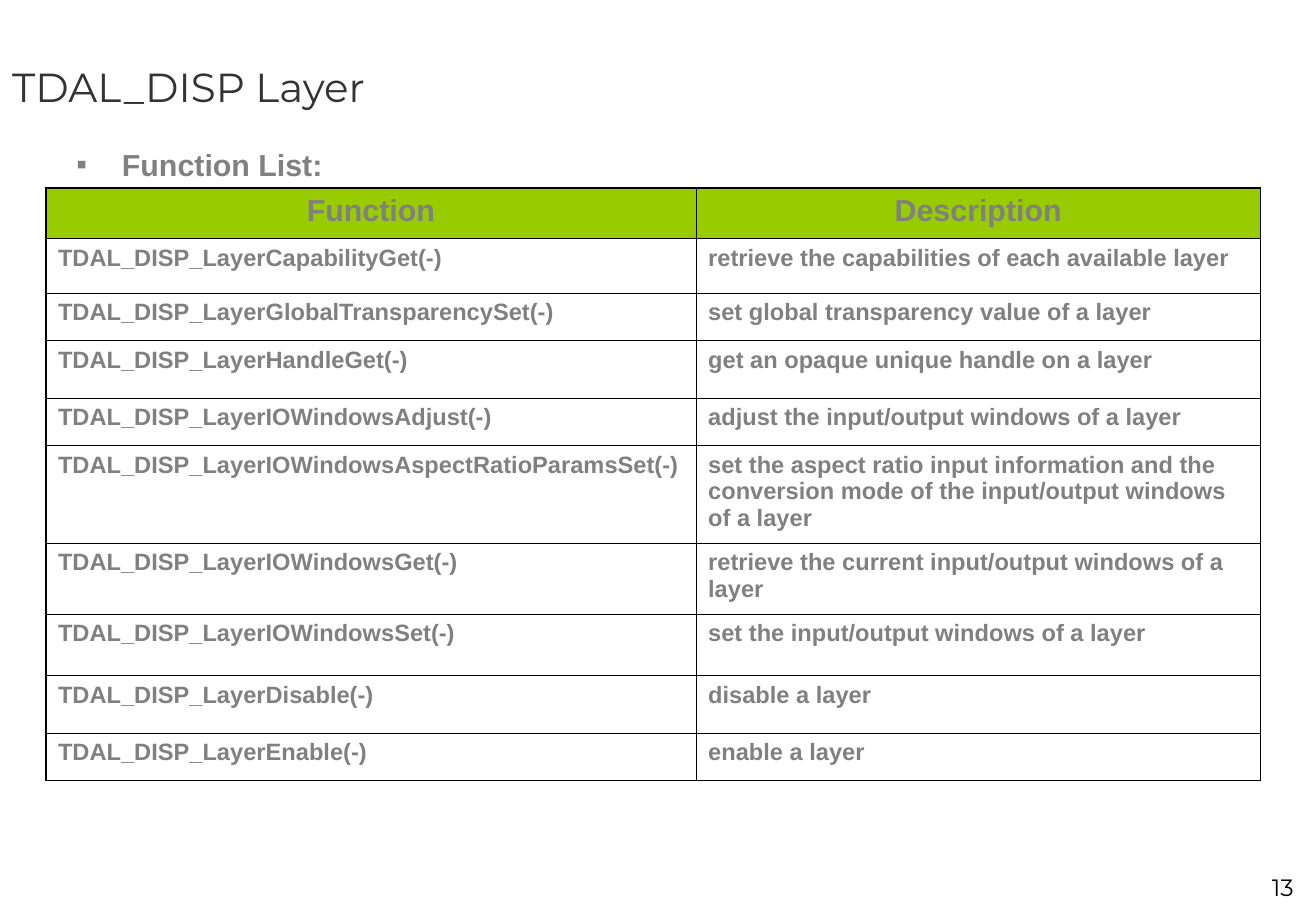
"""Build the TDAL_DISP Layer function list slide."""
from lxml.etree import SubElement
from pptx import Presentation
from pptx.dml.color import RGBColor as RGB
from pptx.enum.text import MSO_ANCHOR as ANCHOR, MSO_AUTO_SIZE as FIT, PP_ALIGN as ALIGN
from pptx.oxml.ns import qn
from pptx.util import Pt

TITLE = "TDAL_DISP Layer"
HEADING = "Function List:"
PAGE = "13"
HEADER = ("Function", "Description")
FUNCTIONS = [
    ("TDAL_DISP_LayerCapabilityGet(-)", "retrieve the capabilities of each available layer"),
    ("TDAL_DISP_LayerGlobalTransparencySet(-)", "set global transparency value of a layer"),
    ("TDAL_DISP_LayerHandleGet(-)", "get an opaque unique handle on a layer"),
    ("TDAL_DISP_LayerIOWindowsAdjust(-)", "adjust the input/output windows of a layer"),
    ("TDAL_DISP_LayerIOWindowsAspectRatioParamsSet(-)",
     "set the aspect ratio input information and the conversion mode "
     "of the input/output windows of a layer"),
    ("TDAL_DISP_LayerIOWindowsGet(-)", "retrieve the current input/output windows of a layer"),
    ("TDAL_DISP_LayerIOWindowsSet(-)", "set the input/output windows of a layer"),
    ("TDAL_DISP_LayerDisable(-)", "disable a layer"),
    ("TDAL_DISP_LayerEnable(-)", "enable a layer"),
]
COL_WIDTHS = (385.4, 334.6)
ROW_HEIGHTS = (30.0, 32.2, 28.2, 34.2, 28.2, 57.8, 42.0, 36.6, 34.0, 28.0)
COLORS = {"title": "333333", "text": "808080", "header": "99CC00", "line": "000000"}
OUTER, INNER = 1.08, 0.45


def add_run(p, text, size, color, font="Arial", bold=False):
    r = p.add_run()
    r.text = text
    r.font.size = Pt(size)
    r.font.name = font
    r.font.bold = bold
    r.font.color.rgb = RGB.from_string(COLORS[color])


def add_text(slide, left, top, width, height):
    tf = slide.shapes.add_textbox(Pt(left), Pt(top), Pt(width), Pt(height)).text_frame
    tf.word_wrap = True
    return tf.paragraphs[0]


def add_bullet(p, char, indent):
    pPr = p._p.get_or_add_pPr()
    pPr.set("marL", str(Pt(indent)))
    pPr.set("indent", str(-Pt(indent)))
    color = SubElement(pPr, qn("a:buClr"))
    SubElement(color, qn("a:srgbClr"), val=COLORS["text"])
    SubElement(pPr, qn("a:buFont"), typeface="Arial")
    SubElement(pPr, qn("a:buChar"), char=char)


def set_borders(cell, outer_sides):
    tcPr = cell._tc.get_or_add_tcPr()
    for side, outer in zip("LRTB", outer_sides):
        ln = SubElement(tcPr, qn(f"a:ln{side}"), w=str(Pt(OUTER if outer else INNER)))
        fill = SubElement(ln, qn("a:solidFill"))
        SubElement(fill, qn("a:srgbClr"), val=COLORS["line"])


def add_function_table(slide, left, top):
    rows = [HEADER, *FUNCTIONS]
    last_row, last_col = len(rows) - 1, len(HEADER) - 1
    table = slide.shapes.add_table(len(rows), len(HEADER), Pt(left), Pt(top),
                                   Pt(sum(COL_WIDTHS)), Pt(sum(ROW_HEIGHTS))).table
    table.first_row = table.horz_banding = False
    for col, width in zip(table.columns, COL_WIDTHS):
        col.width = Pt(width)
    for i, (row, height) in enumerate(zip(rows, ROW_HEIGHTS)):
        table.rows[i].height = Pt(height)
        for j, text in enumerate(row):
            cell = table.cell(i, j)
            set_borders(cell, (j == 0, j == last_col, i == 0, i == last_row))
            p = cell.text_frame.paragraphs[0]
            if i == 0:
                cell.fill.solid()
                cell.fill.fore_color.rgb = RGB.from_string(COLORS["header"])
                p.alignment = ALIGN.CENTER
            else:
                cell.fill.background()
            add_run(p, text, 14 if i else 18, "text", bold=True)


def main():
    prs = Presentation()
    prs.slide_width, prs.slide_height = Pt(780.12), Pt(540)
    slide = prs.slides.add_slide(prs.slide_layouts[5])

    title = slide.shapes.title
    title.left, title.top, title.width, title.height = Pt(0), Pt(0), Pt(780), Pt(102)
    tf = title.text_frame
    tf.auto_size = FIT.NONE
    tf.vertical_anchor = ANCHOR.MIDDLE
    p = tf.paragraphs[0]
    p.alignment = ALIGN.LEFT
    add_run(p, TITLE, 24, "title", "Montserrat")

    p = add_text(slide, 38.2, 83, 713.5, 356.5)
    add_bullet(p, "▪", 27)
    add_run(p, HEADING, 18, "text", bold=True)

    add_function_table(slide, 27.2, 111.5)

    p = add_text(slide, 690.5, 514, 83.5, 24)
    p.alignment = ALIGN.RIGHT
    add_run(p, PAGE, 14, "line", "Montserrat")

    prs.save("out.pptx")


if __name__ == "__main__":
    main()
